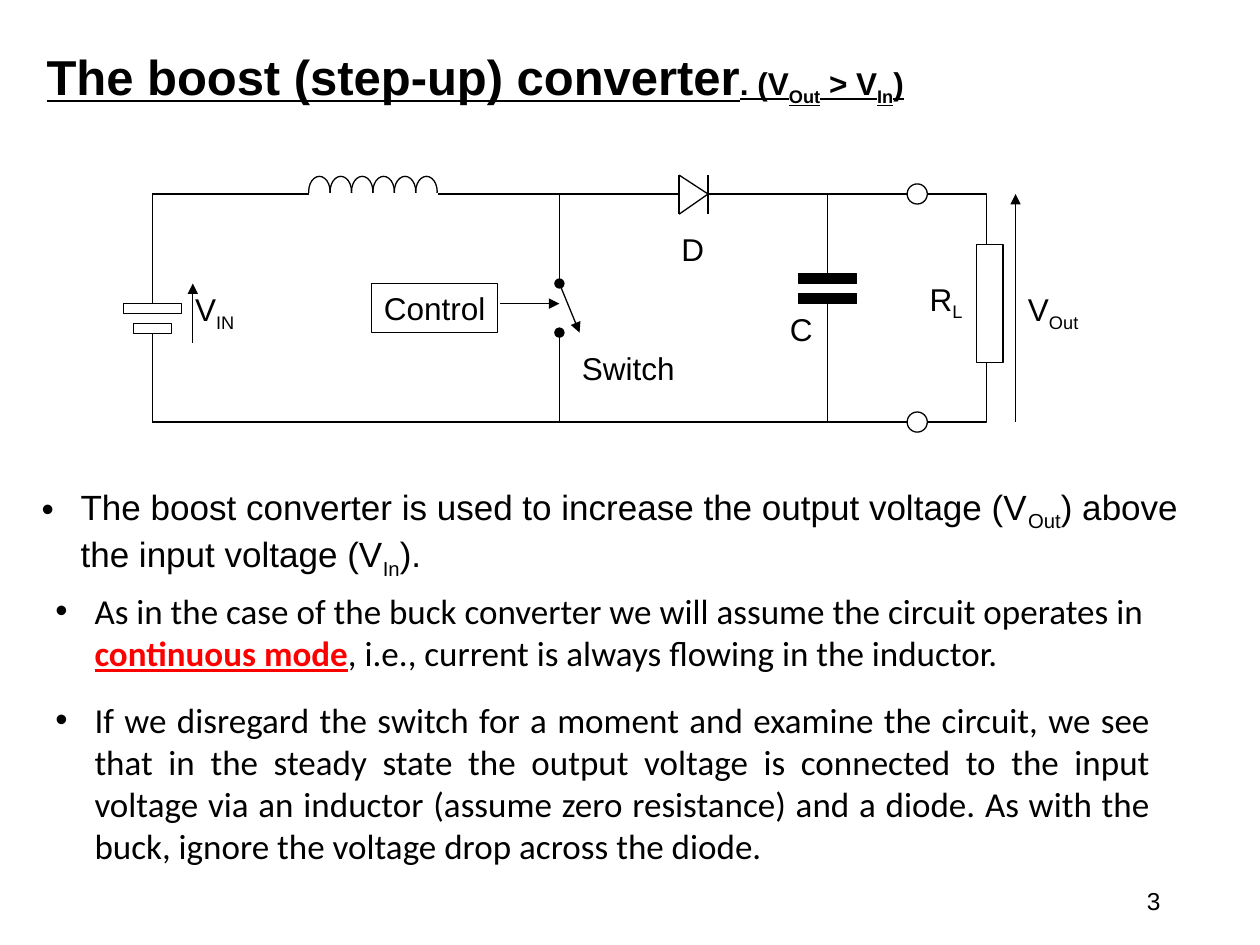
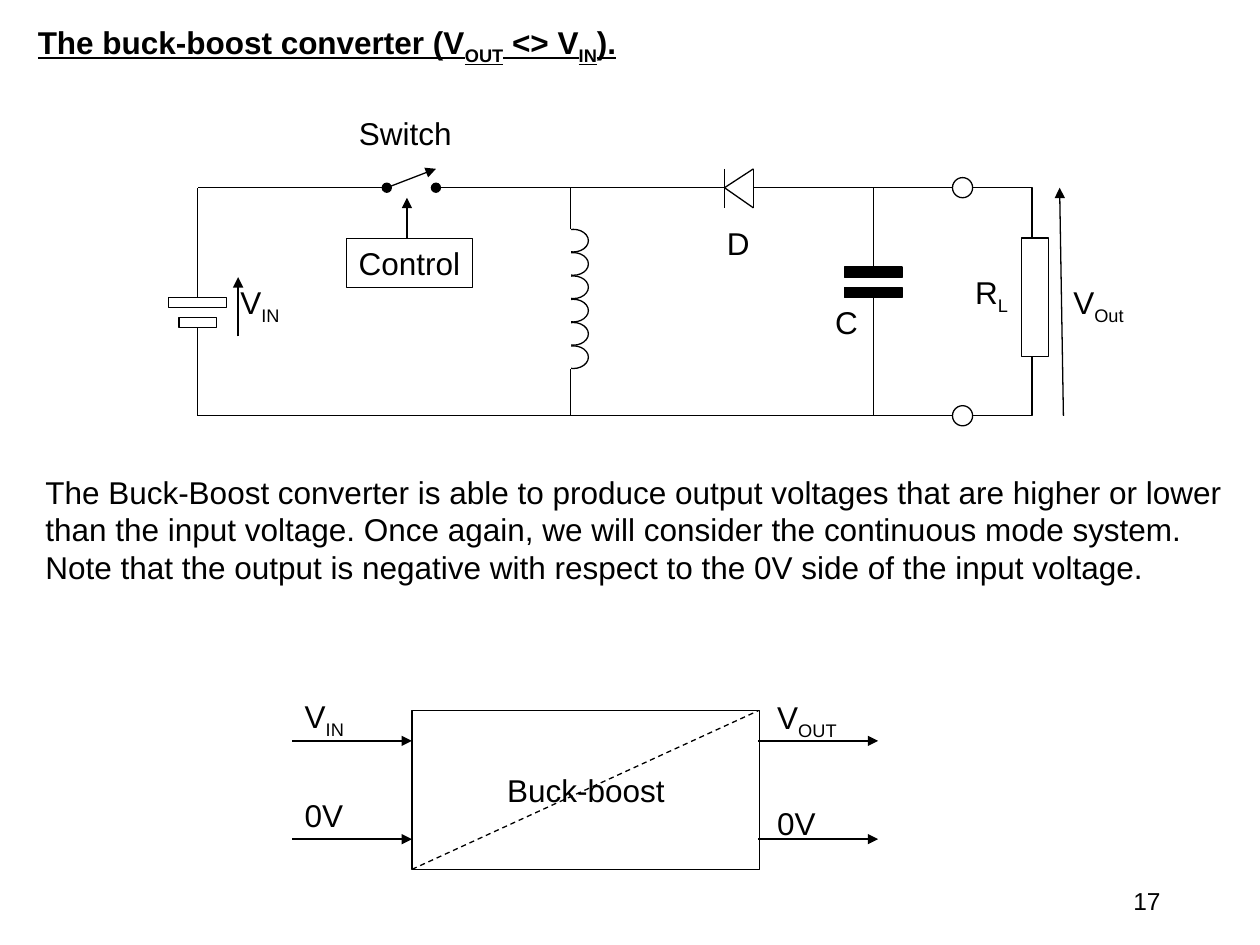
"""Builds two slides on the boost and buck-boost converters."""
from pptx import Presentation
from pptx.dml.color import RGBColor
from pptx.enum.dml import MSO_LINE
from pptx.enum.shapes import MSO_CONNECTOR, MSO_SHAPE
from pptx.enum.text import MSO_ANCHOR, MSO_AUTO_SIZE, PP_ALIGN
from pptx.oxml.ns import qn
from pptx.util import Inches, Pt
from lxml import etree

THEME = {
    "ink": RGBColor(0, 0, 0), "paper": RGBColor(255, 255, 255), "accent": RGBColor(255, 0, 0),
    "line": Pt(0.75), "heading": Pt(28), "bullet": Pt(20), "label": Pt(18), "number": Pt(14),
    "sans": "Arial", "humanist": "Calibri",
}
TITLE_STYLE = {"bold": True, "underline": True}
EMPHASIS = {**TITLE_STYLE, "color": THEME["accent"]}
HANG = 0.31
HEIGHT = 1.81
LABEL_HEIGHT = 0.4

# Subscripts stand between tildes.
SHARED_BOXES = [
    (-0.23, 0.87, 0.46, 0.08, None), (-0.15, 1.03, 0.3, 0.08, None),
    (5.13, 0.63, 0.46, 0.08, "ink"), (5.13, 0.79, 0.46, 0.08, "ink"),
    (6.54, 0.4, 0.21, 0.94, "paper"),
]
SHARED_WIRES = [
    (0, 0.87, 0, 0, ""), (0, HEIGHT, 0, 1.11, ""), (0.32, 1.18, 0.32, 0.71, "arrow"),
    (5.36, HEIGHT, 5.36, 0.87, ""), (5.36, 0, 5.36, 0.63, ""),
    (4.41, 0, 5.99, 0, ""), (0, HEIGHT, 5.99, HEIGHT, ""),
    (4.18, -0.15, 4.18, 0.16, ""), (4.41, -0.15, 4.41, 0.16, ""),
]
SHARED_LABELS = [
    (0.24, 0.71, 0.53, "V~IN~"), (4.1, 0.24, 0.38, "D"), (4.96, 0.87, 0.38, "C"),
    (6.07, 0.63, 0.47, "R~L~"), (6.85, 0.71, 0.64, "V~Out~"),
]
SLIDES = [
    {
        "number": "3", "layout": 4,
        "title": [("The boost (step-up) converter", {"size": THEME["heading"]}),
                  (". (V~Out~ > V~In~)", {})],
        "title_at": (0.27, 0.32, 7.15, 0.55),
        "body": [
            {"at": (0.23, 3.8, 9.53, 0.77), "font": "sans", "size": "bullet", "bullet": True,
             "spans": [("The boost converter is used to increase the output voltage (V~Out~) "
                        "above the input voltage (V~In~).", {})]},
            {"at": (0.34, 4.63, 9.13, 0.77), "font": "humanist", "size": "bullet", "bullet": True,
             "spans": [("As in the case of the buck converter we will assume the circuit "
                        "operates in ", {}), ("continuous mode", EMPHASIS),
                       (", i.e., current is always flowing in the inductor.", {})]},
            {"at": (0.34, 5.49, 8.89, 1.45), "font": "humanist", "size": "bullet", "bullet": True,
             "align": PP_ALIGN.JUSTIFY,
             "spans": [("If we disregard the switch for a moment and examine the circuit, we see "
                        "that in the steady state the output voltage is connected to the input "
                        "voltage via an inductor (assume zero resistance) and a diode. As with "
                        "the buck, ignore the voltage drop across the diode.", {})]},
        ],
        "origin": (1.21, 1.54), "diode": (4.18, 4.41),
        "coil": {"first": (1.24, -0.14), "turn": (0.17, 0.24), "step": (0.17, 0),
                 "mask": (1.12, 0, 1.43, 0.2, "paper")},
        "control": (1.74, 0.71),
        "wires": [
            (0, 0, 1.24, 0, ""), (2.27, 0, 4.18, 0, ""),
            (3.23, 0.71, 3.39, 1.1, "arrow"), (3.23, HEIGHT, 3.23, 1.1, "dot"),
            (3.23, 0, 3.23, 0.71, "dot"), (2.76, 0.87, 3.23, 0.87, "arrow"),
            (6.85, HEIGHT, 6.85, 0, "arrow"),
        ],
        "switch": (3.31, 1.18),
    },
    {
        "number": "17", "layout": 1,
        "title": [("The buck-boost converter (V~OUT~ <> V~IN~).", {})],
        "title_at": (0.2, 0.13, 5.06, 0.4),
        "body": [
            {"at": (0.26, 3.7, 9.61, 1), "font": "sans", "size": "label", "bullet": False,
             "spans": [("The Buck-Boost converter is able to produce output voltages that are "
                        "higher or lower than the input voltage. Once again, we will consider "
                        "the continuous mode system. Note that the output is negative with "
                        "respect to the 0V side of the input voltage.", {})]},
        ],
        "origin": (1.57, 1.49), "diode": (4.41, 4.18),
        "coil": {"first": (2.86, 0.33), "turn": (0.24, 0.18), "step": (0, 0.185),
                 "mask": (2.76, 0.19, 0.2, 1.54, "paper")},
        "control": (1.18, 0.4),
        "wires": [
            (0, 0, 1.5, 0, "dot"), (4.18, 0, 1.89, 0, "dot"), (1.5, 0, 1.89, -0.15, "arrow"),
            (2.96, 1.44, 2.96, HEIGHT, ""), (2.96, 0.33, 2.96, 0, ""),
            (1.66, 0.4, 1.66, 0.08, "arrow"), (6.87, HEIGHT, 6.84, 0, "arrow"),
        ],
        "switch": (1.18, -0.63),
    },
]
BLOCK = {
    "origin": (3.27, 5.64), "box": (0, 0, 2.76, 1.26),
    "wires": [(0, 1.26, 2.75, 0, "dash")] + [
        (x, y, x + 0.95, y, "arrow") for x in (-0.95, 2.75) for y in (0.24, 1.02)],
    "labels": [(-0.95, -0.16, 0.53, "V~IN~"), (2.8, 0.69, 0.51, "0V"),
               (-0.95, 0.63, 0.51, "0V"), (2.8, -0.15, 0.73, "V~OUT~")],
}
LINE_ENDS = {"arrow": "triangle", "dot": "oval"}


def assign(target, values):
    """Set attributes from a dict."""
    for key, value in values.items():
        setattr(target, key, value)


def place(shape, at):
    """Move a shape to a left, top, width, height given in inches."""
    assign(shape, dict(zip(("left", "top", "width", "height"), map(Inches, at))))


def write(frame, spans, align=PP_ALIGN.LEFT, anchor=MSO_ANCHOR.TOP, wrap=True,
          fit=MSO_AUTO_SIZE.NONE, bullet=None, **base):
    """Fill a text frame with spans whose tilde-marked parts are subscripts."""
    assign(frame, {"word_wrap": wrap, "auto_size": fit, "vertical_anchor": anchor})
    paragraph = frame.paragraphs[0]
    if bullet is not None:
        props = paragraph._p.get_or_add_pPr()
        indent = Inches(HANG) if bullet else 0
        props.set("marL", str(indent))
        props.set("indent", str(-indent))
        mark = etree.SubElement(props, qn("a:buChar" if bullet else "a:buNone"))
        if bullet:
            mark.set("char", "•")
    assign(paragraph, {"alignment": align, "space_before": Pt(0)})
    style = {"name": THEME["sans"], "size": THEME["label"], "bold": False,
             "underline": False, "color": THEME["ink"], **base}
    for text, changes in spans:
        values = {**style, **changes}
        color = values.pop("color")
        for index, part in enumerate(text.split("~")):
            if not part:
                continue
            run = paragraph.add_run()
            run.text = part
            assign(run.font, values)
            run.font.color.rgb = color
            if index % 2:
                run._r.get_or_add_rPr().set("baseline", "-25000")


class Diagram:
    """Draws parts in inches relative to an origin and joins wires to boxes."""

    def __init__(self, slide, origin):
        self.shapes = slide.shapes
        self.origin = origin
        self.sites = []

    def shift(self, x, y):
        return Inches(self.origin[0] + x), Inches(self.origin[1] + y)

    def outline(self, part, fill=None, line="ink"):
        part.shadow.inherit = False
        if fill:
            part.fill.solid()
            part.fill.fore_color.rgb = THEME[fill]
        else:
            part.fill.background()
        part.line.color.rgb = THEME[line]
        part.line.width = THEME["line"]
        return part

    def ellipse(self, x, y, w, h):
        self.outline(self.shapes.add_shape(MSO_SHAPE.OVAL, *self.shift(x, y), Inches(w), Inches(h)))

    def box(self, x, y, w, h, fill=None, line="ink", text=None):
        part = self.shapes.add_shape(MSO_SHAPE.RECTANGLE, *self.shift(x, y), Inches(w), Inches(h))
        self.outline(part, fill, line)
        if text:
            write(part.text_frame, [(text, {})], PP_ALIGN.CENTER, MSO_ANCHOR.MIDDLE, False)
        middles = ((x + w / 2, y), (x, y + h / 2), (x + w / 2, y + h), (x + w, y + h / 2))
        self.sites += [(middle, part, side) for side, middle in enumerate(middles)]

    def wire(self, x1, y1, x2, y2, style=""):
        wire = self.shapes.add_connector(
            MSO_CONNECTOR.STRAIGHT, *self.shift(x1, y1), *self.shift(x2, y2))
        wire.line.color.rgb = THEME["ink"]
        wire.line.width = THEME["line"]
        if style == "dash":
            wire.line.dash_style = MSO_LINE.DASH
        props = wire._element.spPr
        if style in LINE_ENDS:
            etree.SubElement(props.find(qn("a:ln")), qn("a:tailEnd"), type=LINE_ENDS[style])
        etree.SubElement(props, qn("a:effectLst"))
        for (x, y), join in (((x1, y1), wire.begin_connect), ((x2, y2), wire.end_connect)):
            for (site_x, site_y), part, side in self.sites:
                if abs(x - site_x) < 0.015 and abs(y - site_y) < 0.015:
                    join(part, side)

    def label(self, x, y, w, text):
        box = self.shapes.add_textbox(*self.shift(x, y), Inches(w), Inches(LABEL_HEIGHT))
        write(box.text_frame, [(text, {})], wrap=False, fit=MSO_AUTO_SIZE.SHAPE_TO_FIT_TEXT)


def draw_circuit(slide, content):
    """Draw a converter from the shared parts and its own coil, switch and diode."""
    circuit = Diagram(slide, content["origin"])
    coil = content["coil"]
    for turn in range(6):
        x, y = (start + turn * step for start, step in zip(coil["first"], coil["step"]))
        circuit.ellipse(x, y, *coil["turn"])
    circuit.box(*coil["mask"], line="paper")
    builder = circuit.shapes.build_freeform(*circuit.shift(6.15, 0), scale=1.0)
    builder.add_line_segments(
        [circuit.shift(*p) for p in ((6.62, 0), (6.62, HEIGHT), (6.15, HEIGHT))], close=False)
    circuit.outline(builder.convert_to_shape())
    for box in SHARED_BOXES:
        circuit.box(*box)
    circuit.box(*content["control"], 1, 0.39, text="Control")
    for y in (-0.08, HEIGHT - 0.08):
        circuit.ellipse(5.99, y, 0.16, 0.16)
    base, tip = content["diode"]
    sides = [(base, y, tip, 0, "") for y in (-0.15, 0.16)]
    for wire in SHARED_WIRES + sides + content["wires"]:
        circuit.wire(*wire)
    for label in SHARED_LABELS + [(*content["switch"], 0.94, "Switch")]:
        circuit.label(*label)


def draw_block(slide):
    """Draw the buck-boost block with its inputs and outputs."""
    block = Diagram(slide, BLOCK["origin"])
    block.box(*BLOCK["box"], text="Buck-boost")
    for wire in BLOCK["wires"]:
        block.wire(*wire)
    for label in BLOCK["labels"]:
        block.label(*label)


def add_slide(deck, content):
    """Add one slide with its title, body text, number and circuit."""
    slide = deck.slides.add_slide(deck.slide_layouts[content["layout"]])
    title, *bodies = list(slide.placeholders)
    place(title, content["title_at"])
    write(title.text_frame, content["title"], wrap=False, **TITLE_STYLE)
    for body, item in zip(bodies, content["body"]):
        place(body, item["at"])
        write(body.text_frame, item["spans"], item.get("align", PP_ALIGN.LEFT),
              bullet=item["bullet"], name=THEME[item["font"]], size=THEME[item["size"]])
    for unused in bodies[len(content["body"]):]:
        unused._element.getparent().remove(unused._element)
    number = slide.shapes.add_textbox(*map(Inches, (7.06, 6.95, 2.25, LABEL_HEIGHT)))
    write(number.text_frame, [(content["number"], {})], PP_ALIGN.RIGHT, MSO_ANCHOR.MIDDLE,
          size=THEME["number"])
    draw_circuit(slide, content)
    return slide


def main():
    """Build and save the deck."""
    deck = Presentation()
    deck.slide_width, deck.slide_height = Inches(10), Inches(7.5)
    boost, buck_boost = [add_slide(deck, content) for content in SLIDES]
    draw_block(buck_boost)
    deck.save("out.pptx")


if __name__ == "__main__":
    main()
